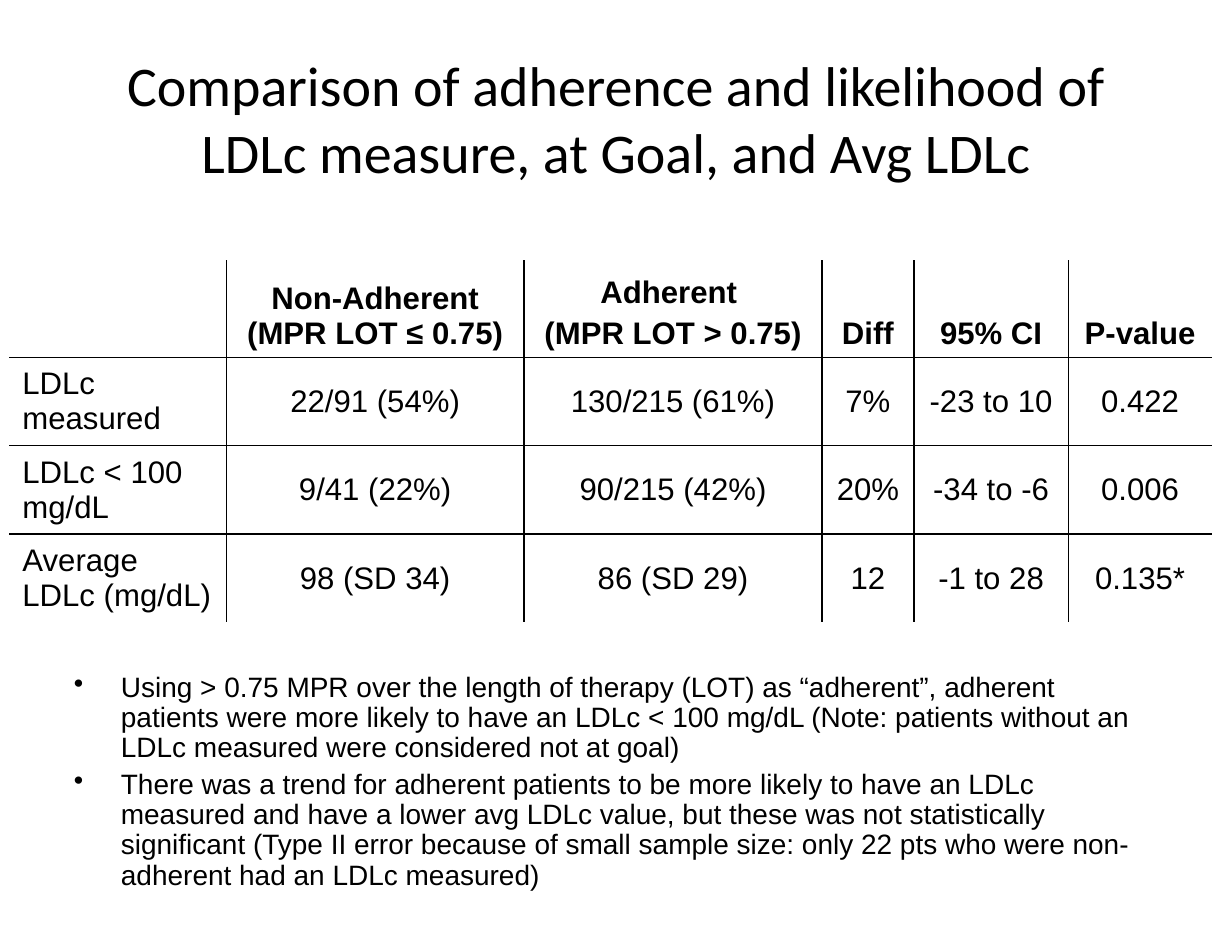
import pptx
import pptx.dml.color
import pptx.enum.text
import pptx.oxml
import pptx.oxml.ns
import pptx.util
from pptx.util import Inches

BLACK = pptx.dml.color.RGBColor(0, 0, 0)
ALIGN = pptx.enum.text.PP_ALIGN
ANCHOR = pptx.enum.text.MSO_ANCHOR
SIDE_INSET, END_INSET = Inches(0.11), Inches(0.06)


def write_text(holder, text, size=20, font="Arial", bold=False, align=ALIGN.CENTER,
               anchor=ANCHOR.MIDDLE, before=4, spacing=1.0, bullet=None):
    holder.margin_left = holder.margin_right = SIDE_INSET
    holder.margin_top = holder.margin_bottom = END_INSET
    holder.vertical_anchor = anchor
    frame = getattr(holder, "text_frame", holder)
    frame.word_wrap = True
    frame.text = text
    for paragraph in frame.paragraphs:
        paragraph.alignment = align
        paragraph.space_before = pptx.util.Pt(before)
        paragraph.line_spacing = spacing
        paragraph.font.size = pptx.util.Pt(size)
        for run in paragraph.runs:
            run.font.size = pptx.util.Pt(size)
            run.font.name = font
            run.font.bold = bold
            run.font.color.rgb = BLACK
        if bullet:
            properties = paragraph._p.get_or_add_pPr()
            properties.set("marL", str(Inches(0.42)))
            properties.set("indent", str(-Inches(0.42)))
            mark = pptx.oxml.parse_xml(
                f'<a:buChar {pptx.oxml.ns.nsdecls("a")} char="{bullet}"/>')
            properties.insert_element_before(mark, "a:tabLst", "a:defRPr", "a:extLst")


def draw_borders(cell, sides):
    properties = cell._tc.get_or_add_tcPr()
    for position, side in enumerate(sides):
        line = pptx.oxml.parse_xml(
            f'<a:ln{side} {pptx.oxml.ns.nsdecls("a")} w="{pptx.util.Pt(1)}">'
            f'<a:solidFill><a:srgbClr val="{BLACK}"/></a:solidFill></a:ln{side}>')
        properties.insert(position, line)


presentation = pptx.Presentation()
presentation.slide_width = Inches(11)
presentation.slide_height = Inches(8.5)
width, height = presentation.slide_width, presentation.slide_height
slide = presentation.slides.add_slide(presentation.slide_layouts[5])
left, content_width = int(width * 0.05), int(width * 0.9)

title = slide.shapes.title
title.left, title.top = left, int(height * 0.04)
title.width, title.height = content_width, int(height / 6)
title.text_frame.auto_size = pptx.enum.text.MSO_AUTO_SIZE.NONE
write_text(title.text_frame,
           "Comparison of adherence and likelihood of LDLc measure, at Goal, and Avg LDLc",
           size=36, font="Calibri", before=0)

rows = [
    ["", "Non-Adherent (MPR LOT ≤ 0.75)", "Adherent \n(MPR LOT > 0.75)",
     "Diff", "95% CI", "P-value"],
    ["LDLc measured", "22/91 (54%)", "130/215 (61%)", "7%", "-23 to 10", "0.422"],
    ["LDLc < 100 mg/dL", "9/41 (22%)", "90/215 (42%)", "20%", "-34 to -6", "0.006"],
    ["Average LDLc (mg/dL)", "98 (SD 34)", "86 (SD 29)", "12", "-1 to 28", "0.135*"],
]
column_widths = [1.93, 2.66, 2.66, 0.82, 1.38, 1.28]
row_heights = [0.86] + [0.79] * 3
last_row, last_column = len(rows) - 1, len(column_widths) - 1

table = slide.shapes.add_table(
    len(rows), len(column_widths), Inches(0.09), Inches(2.33),
    Inches(sum(column_widths)), Inches(sum(row_heights))).table
table.first_row = False
table.horz_banding = False
for column, column_width in zip(table.columns, column_widths):
    column.width = Inches(column_width)
for row, row_height in zip(table.rows, row_heights):
    row.height = Inches(row_height)

for row_index, row in enumerate(rows):
    for column_index, text in enumerate(row):
        cell = table.cell(row_index, column_index)
        header = row_index == 0
        write_text(cell, text, bold=header,
                   align=ALIGN.LEFT if column_index == 0 else ALIGN.CENTER,
                   anchor=ANCHOR.BOTTOM if header else ANCHOR.MIDDLE)
        cell.fill.background()
        inner_sides = {"L": column_index > 0, "R": column_index < last_column,
                       "T": row_index > 0, "B": row_index < last_row}
        draw_borders(cell, [side for side, inner in inner_sides.items() if inner])

findings = [
    "Using > 0.75 MPR over the length of therapy (LOT) as “adherent”, adherent patients "
    "were more likely to have an LDLc < 100 mg/dL (Note: patients without an LDLc "
    "measured were considered not at goal)",
    "There was a trend for adherent patients to be more likely to have an LDLc measured "
    "and have a lower avg LDLc value, but these was not statistically significant "
    "(Type II error because of small sample size: only 22 pts who were non-adherent "
    "had an LDLc measured)",
]
findings_box = slide.shapes.add_textbox(left, int(height * 0.7), content_width, Inches(1.58))
write_text(findings_box.text_frame, "\n".join(findings), size=18, align=ALIGN.LEFT,
           anchor=ANCHOR.TOP, spacing=0.9, bullet="•")

presentation.save("out.pptx")
